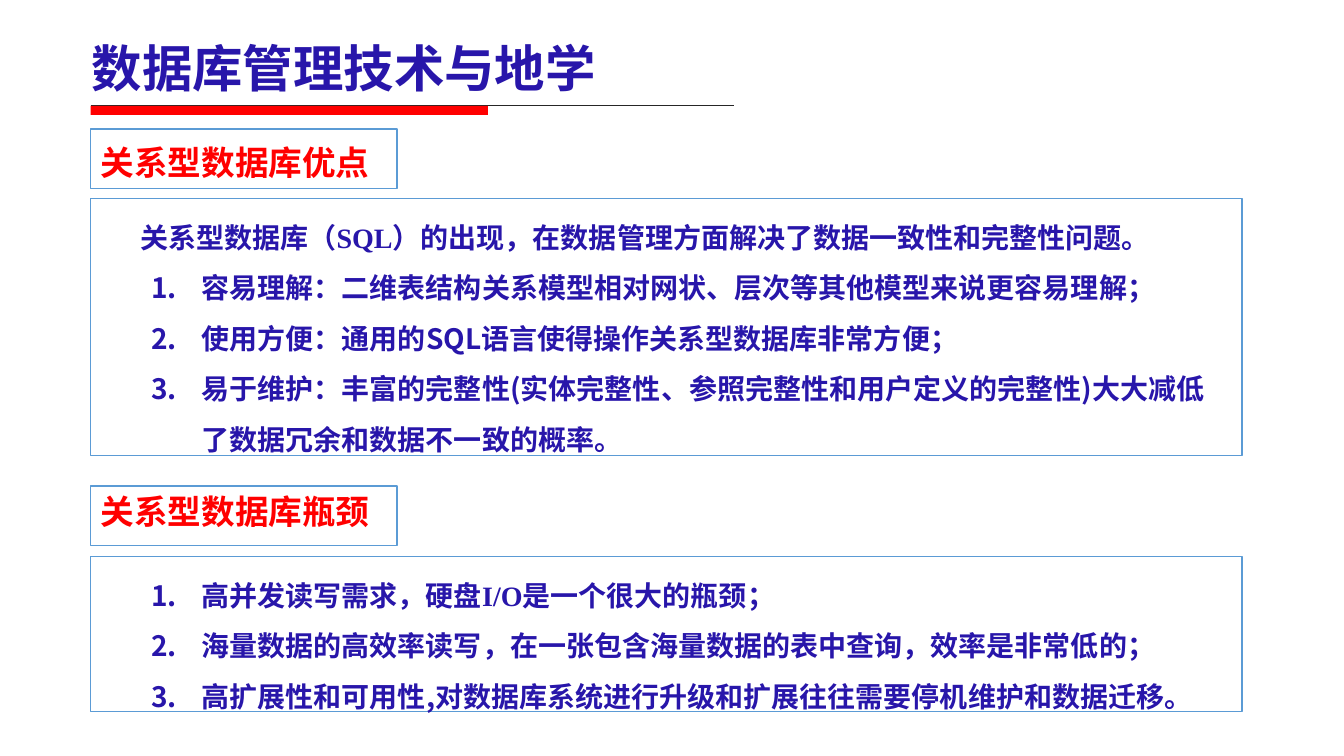
"""Build the slide on strengths and bottlenecks of relational databases."""
from lxml.etree import SubElement
from pptx import Presentation
from pptx.dml.color import RGBColor
from pptx.enum.shapes import MSO_CONNECTOR, MSO_SHAPE
from pptx.enum.text import MSO_ANCHOR, MSO_AUTO_SIZE, PP_ALIGN
from pptx.oxml.ns import qn
from pptx.util import Pt

COLORS = {"navy": "2816AA", "red": "FF0000", "border": "5B9BD5",
          "rule": "262626", "white": "FFFFFF"}
SANS, SERIF = "Noto Sans CJK SC", "Times New Roman"
LEFT, PANEL_WIDTH = 64.8, 822.24
LABEL_WIDTH, LABEL_HEIGHT = 218.88, 42.48
RULE_TOP = 75.6

ADVANTAGE_INTRO = [("关系型数据库", SANS), ("（SQL）", SERIF),
                   ("的出现，在数据管理方面解决了数据一致性和完整性问题。", SANS)]
ADVANTAGES = [
    [("容易理解：二维表结构关系模型相对网状、层次等其他模型来说更容易理解；", SANS)],
    [("使用方便：通用的SQL语言使得操作关系型数据库非常方便；", SANS)],
    [("易于维护：丰富的完整性(实体完整性、参照完整性和用户定义的完整性)"
      "大大减低了数据冗余和数据不一致的概率。", SANS)],
]
BOTTLENECKS = [
    [("高并发读写需求，硬盘", SANS), ("I/O", SERIF), ("是一个很大的瓶颈；", SANS)],
    [("海量数据的高效率读写，在一张包含海量数据的表中查询，效率是非常低的；", SANS)],
    [("高扩展性和可用性,对数据库系统进行升级和扩展往往需要停机维护和数据迁移。", SANS)],
]


def color(name):
    """Return the named colour."""
    return RGBColor.from_string(COLORS[name])


def add_span(para, text, size=20, fill="navy", font=SANS):
    """Add bold text with its format to a paragraph."""
    span = para.add_run()
    span.text = text
    span.font.size = Pt(size)
    span.font.bold = True
    span.font.color.rgb = color(fill)
    span.font.name = font
    SubElement(span.font._element, qn("a:ea"), typeface=SANS)


class SlideBuilder:
    """Holds the current slide and draws its kinds of element."""

    def __init__(self, page):
        """Keep the page and its placeholders."""
        self.page = page
        self.holders = {box.placeholder_format.idx: box for box in page.placeholders}

    def place(self, index, left, top, width, height, anchor=MSO_ANCHOR.TOP):
        """Move a placeholder and return it ready for text."""
        box = self.holders[index]
        box.left, box.top, box.width, box.height = map(Pt, (left, top, width, height))
        frame = box.text_frame
        frame.word_wrap = True
        frame.auto_size = MSO_AUTO_SIZE.NONE
        frame.vertical_anchor = anchor
        return box

    def framed(self, index, top, width, height):
        """Place a white box with a thin border."""
        box = self.place(index, LEFT, top, width, height)
        box.fill.solid()
        box.fill.fore_color.rgb = color("white")
        box.line.color.rgb = color("border")
        box.line.width = Pt(1)
        return box

    def format_para(self, para, spacing=1.0, after=0, margin=0, indent=0, numbered=False):
        """Set spacing, indents and numbering of a paragraph."""
        para.alignment = PP_ALIGN.LEFT
        para.line_spacing = spacing
        para.space_before = Pt(0)
        para.space_after = Pt(after)
        properties = para._p.get_or_add_pPr()
        properties.set("marL", str(Pt(margin)))
        properties.set("indent", str(Pt(indent)))
        if numbered:
            SubElement(properties, qn("a:buFontTx"))
            SubElement(properties, qn("a:buAutoNum"), type="arabicPeriod")
        else:
            SubElement(properties, qn("a:buNone"))

    def title(self, text):
        """Write the slide title."""
        box = self.place(0, 58.32, 23.04, 486, 46.08, MSO_ANCHOR.MIDDLE)
        para = box.text_frame.paragraphs[0]
        self.format_para(para, spacing=1.1, after=6)
        add_span(para, text, size=36)

    def label(self, index, text, top, font=SANS, **spacing):
        """Write a red section heading in a frame."""
        box = self.framed(index, top, LABEL_WIDTH, LABEL_HEIGHT)
        para = box.text_frame.paragraphs[0]
        self.format_para(para, **spacing)
        add_span(para, text, size=24, fill="red", font=font)

    def panel(self, index, top, height, items, intro=None):
        """Write a framed numbered list with an optional opening line."""
        frame = self.framed(index, top, PANEL_WIDTH, height).text_frame
        lines = ([(intro, False)] if intro else []) + [(item, True) for item in items]
        for number, (spans, numbered) in enumerate(lines):
            para = frame.add_paragraph() if number else frame.paragraphs[0]
            if numbered:
                para.level = 1
                self.format_para(para, 1.5, margin=72, indent=-36, numbered=True)
            else:
                self.format_para(para, 1.5, indent=28.08)
            for text, font in spans:
                add_span(para, text, font=font)

    def bar(self, width, height):
        """Draw the red bar under the title."""
        box = self.page.shapes.add_shape(
            MSO_SHAPE.RECTANGLE, Pt(LEFT), Pt(RULE_TOP), Pt(width), Pt(height))
        box.shadow.inherit = False
        box.fill.solid()
        box.fill.fore_color.rgb = color("red")
        box.line.fill.background()

    def rule(self, width):
        """Draw the thin line under the title."""
        line = self.page.shapes.add_connector(
            MSO_CONNECTOR.STRAIGHT, Pt(LEFT), Pt(RULE_TOP), Pt(LEFT + width), Pt(RULE_TOP))
        line.line.color.rgb = color("rule")
        line.line.width = Pt(0.75)
        SubElement(line._element.spPr, qn("a:effectLst"))


def main():
    """Build and save the deck."""
    deck = Presentation()
    deck.slide_width, deck.slide_height = Pt(960), Pt(540)
    page = deck.slides.add_slide(deck.slide_layouts.get_by_name("Comparison"))
    builder = SlideBuilder(page)
    builder.title("数据库管理技术与地学")
    builder.rule(459.36)
    builder.bar(283.68, 6.48)
    builder.label(1, "关系型数据库优点", 92.16, font=SERIF, spacing=1.2, after=6)
    builder.panel(2, 141.84, 183.6, ADVANTAGES, intro=ADVANTAGE_INTRO)
    builder.label(3, "关系型数据库瓶颈", 347.04)
    builder.panel(4, 397.44, 110.88, BOTTLENECKS)
    deck.save("out.pptx")


if __name__ == "__main__":
    main()
